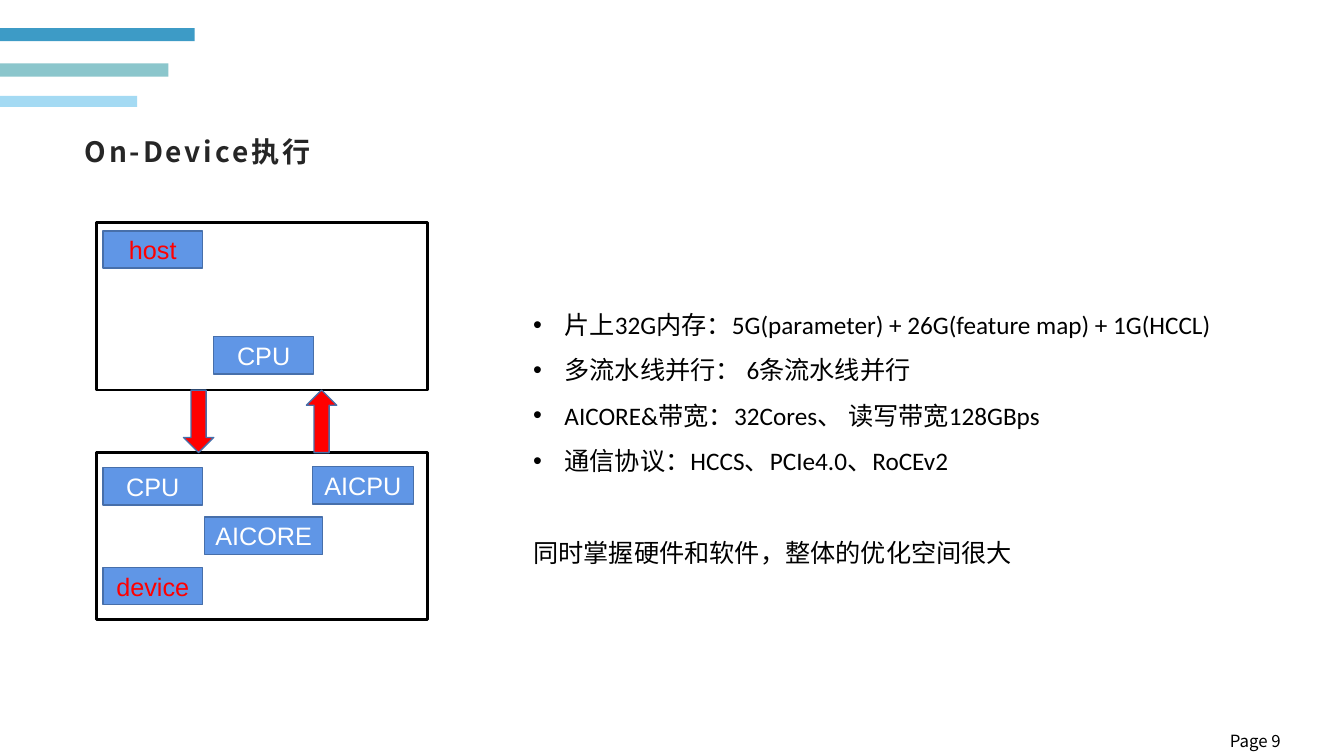
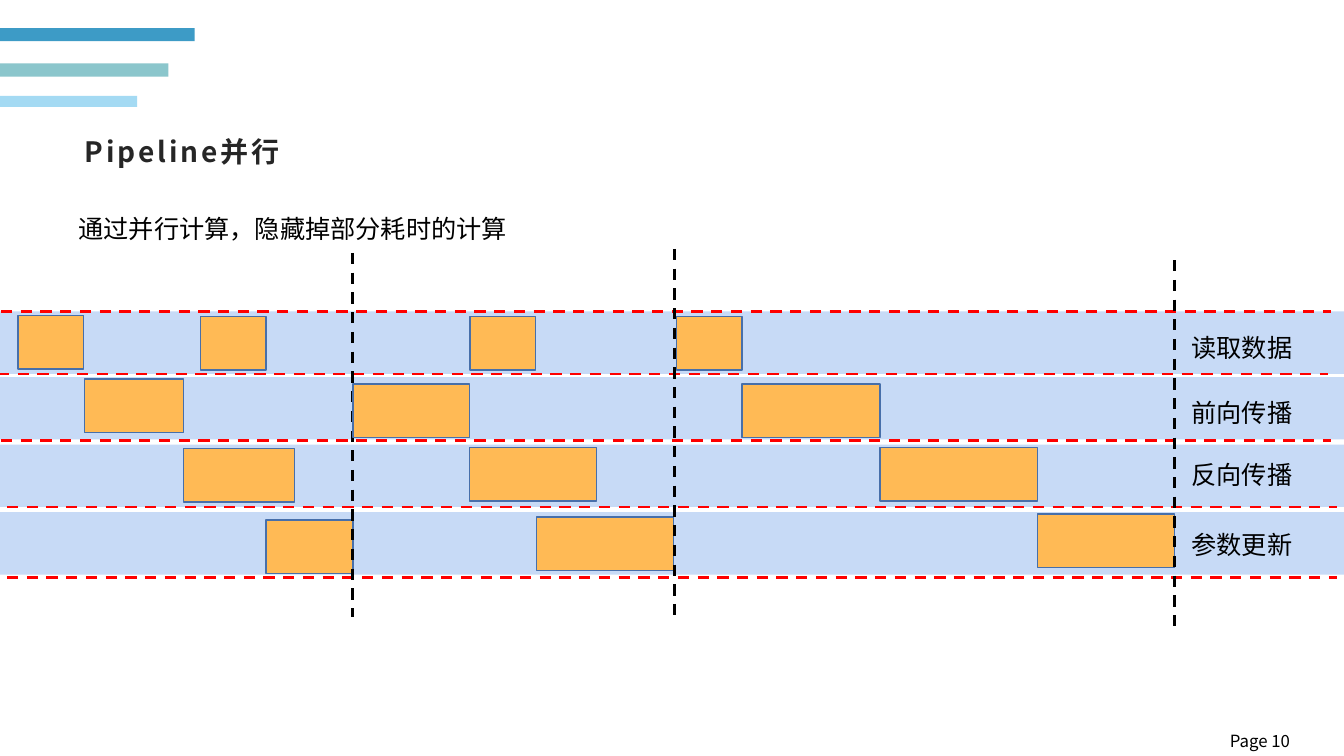
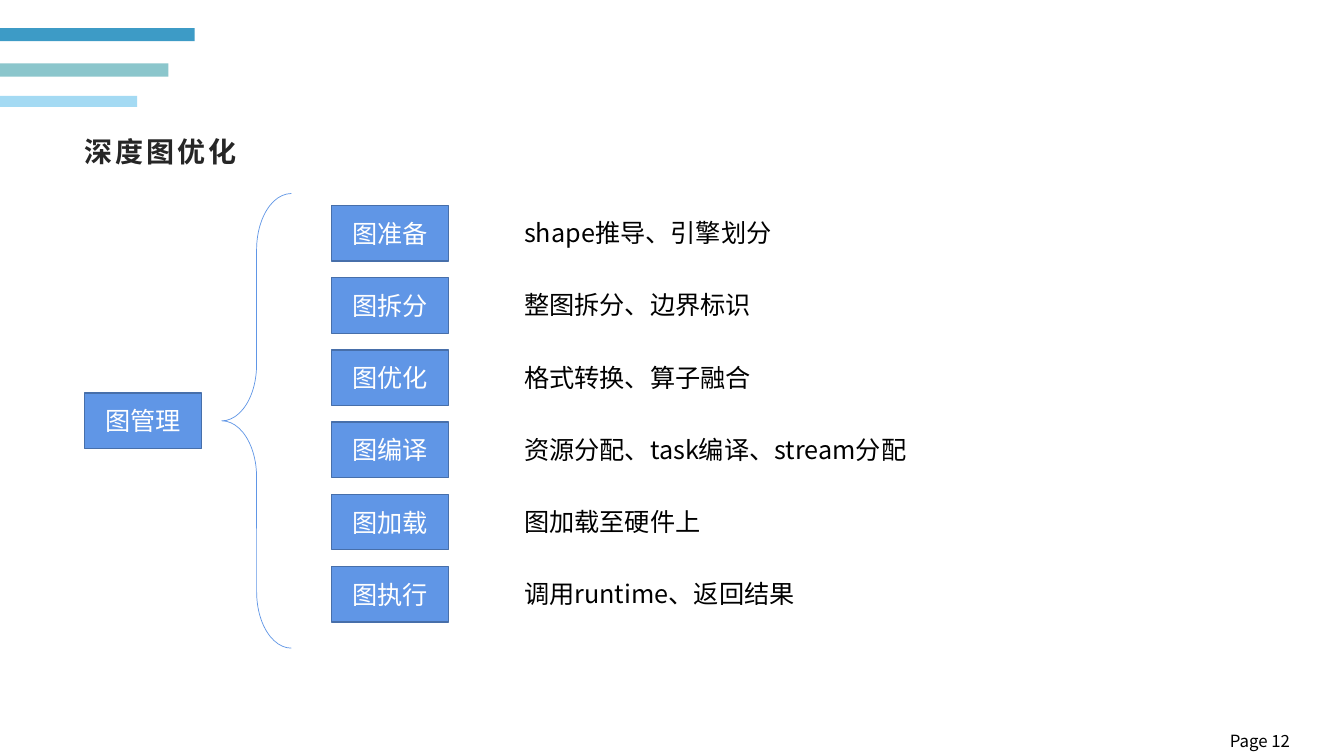
from lxml.etree import SubElement
from pptx import Presentation
from pptx.dml.color import RGBColor
from pptx.enum.dml import MSO_LINE_DASH_STYLE as Dash
from pptx.enum.shapes import MSO_CONNECTOR as Connector, MSO_SHAPE as Shape
from pptx.enum.text import MSO_ANCHOR as Anchor, MSO_AUTO_SIZE as AutoSize, PP_ALIGN as Align
from pptx.oxml.ns import qn
from pptx.util import Inches, Pt

BLACK, WHITE, RED = "000000", "FFFFFF", "FF0000"
BLUE, OUTLINE, ORANGE = "6096E6", "476FAA", "FFBA55"
CJK = "Noto Sans CJK SC"
color = RGBColor.from_string


def write(shape, text, size=18, ink=BLACK, font=CJK, bold=False, spacing=0):
    frame = shape.text_frame
    frame.word_wrap = True
    frame.text = text
    for paragraph in frame.paragraphs:
        for run in paragraph.runs:
            run.font.size = Pt(size)
            run.font.bold = bold
            run.font.color.rgb = color(ink)
            run.font.name = font
            properties = run.font._element
            SubElement(properties, qn("a:ea")).set("typeface", CJK)
            if spacing:
                properties.set("spc", str(spacing * 100))
    return frame


def add_box(slide, bounds, fill=None, line=None, weight=1, opacity=100,
            label="", ink=WHITE, kind=Shape.RECTANGLE):
    shape = slide.shapes.add_shape(kind, *map(Inches, bounds))
    shape.shadow.inherit = False
    if fill:
        shape.fill.solid()
        shape.fill.fore_color.rgb = color(fill)
        if opacity < 100:
            tint = shape.fill._xPr.find(qn("a:solidFill"))[0]
            SubElement(tint, qn("a:alpha")).set("val", str(opacity * 1000))
    else:
        shape.fill.background()
    if line:
        shape.line.color.rgb = color(line)
        shape.line.width = Pt(weight)
    else:
        shape.line.fill.background()
    if label:
        frame = write(shape, label, ink=ink, font="Arial")
        frame.vertical_anchor = Anchor.MIDDLE
        frame.paragraphs[0].alignment = Align.CENTER
    return shape


presentation = Presentation()
presentation.slide_width = Inches(13.33)
presentation.slide_height = Inches(7.5)

slides = []
for title_text, page in [("On-Device执行", 9), ("Pipeline并行", 10), ("深度图优化", 12)]:
    slide = presentation.slides.add_slide(presentation.slide_layouts[5])
    slides.append(slide)
    title = slide.shapes.title
    title.left, title.top, title.width, title.height = map(Inches, (0.74, 0.68, 3.62, 1.53))
    frame = write(title, title_text, size=20, ink="262626", bold=True, spacing=2)
    frame.auto_size = AutoSize.NONE
    frame.vertical_anchor = Anchor.MIDDLE
    frame.margin_bottom = 0
    frame.paragraphs[0].alignment = Align.LEFT
    frame.paragraphs[0].line_spacing = 1.2
    for top, width, height, fill, opacity in [
        (0.28, 1.93, 0.13, "007CB5", 76),
        (0.63, 1.67, 0.13, "8BC6CC", 100),
        (0.95, 1.36, 0.11, "7ECBEF", 70),
    ]:
        add_box(slide, (0, top, width, height), fill, opacity=opacity)
    footer = slide.shapes.add_textbox(Inches(12.1), Inches(7.2), Inches(1.16), Inches(0.3))
    write(footer, f"Page {page}", size=12)

device_slide, pipeline_slide, graph_slide = slides

for top in (2.21, 4.49):
    add_box(device_slide, (0.96, top, 3.28, 1.66), line=BLACK, weight=2)
for label, left, top, width, ink in [
    ("host", 1.02, 2.29, 0.99, RED),
    ("device", 1.02, 5.63, 0.99, RED),
    ("CPU", 1.02, 4.64, 0.99, WHITE),
    ("CPU", 2.12, 3.34, 0.99, WHITE),
    ("AICORE", 2.03, 5.13, 1.17, WHITE),
    ("AICPU", 3.1, 4.63, 1, WHITE),
]:
    add_box(device_slide, (left, top, width, 0.37), BLUE, OUTLINE, label=label, ink=ink)
for left, kind in [(1.82, Shape.DOWN_ARROW), (3.04, Shape.UP_ARROW)]:
    add_box(device_slide, (left, 3.87, 0.3, 0.62), RED, OUTLINE, kind=kind)

features = [
    "片上32G内存：5G(parameter) + 26G(feature map) + 1G(HCCL)",
    "多流水线并行： 6条流水线并行",
    "AICORE&带宽：32Cores、 读写带宽128GBps",
    "通信协议：HCCS、PCIe4.0、RoCEv2",
]
conclusion = "同时掌握硬件和软件，整体的优化空间很大"
feature_box = device_slide.shapes.add_textbox(Inches(5.19), Inches(2.87), Inches(7.25), Inches(2.83))
frame = write(feature_box, "\n".join(features + [conclusion]), font="Calibri")
for paragraph in frame.paragraphs[:-1]:
    properties = paragraph._p.get_or_add_pPr()
    properties.set("marL", str(Inches(0.31)))
    properties.set("indent", str(-Inches(0.31)))
    SubElement(properties, qn("a:buFont")).set("typeface", "Arial")
    SubElement(properties, qn("a:buChar")).set("char", "•")
    paragraph.line_spacing = 1.5
frame.paragraphs[-1].space_before = Pt(44)

summary = pipeline_slide.shapes.add_textbox(Inches(0.68), Inches(2.07), Inches(6.68), Inches(0.4))
write(summary, "通过并行计算，隐藏掉部分耗时的计算", font="Calibri")

for stage, band_top, label_top in [
    ("读取数据", 3.09, 3.25),
    ("前向传播", 3.74, 3.89),
    ("反向传播", 4.41, 4.51),
    ("参数更新", 5.08, 5.2),
]:
    add_box(pipeline_slide, (0, band_top, 13.33, 0.62), BLUE, opacity=35)
    stage_label = pipeline_slide.shapes.add_textbox(
        Inches(11.72), Inches(label_top), Inches(1.5), Inches(0.4))
    write(stage_label, stage, font="Arial")

separators = [
    (left, top, left + 13.19, top)
    for left, top in [(0.01, 3.09), (-0.02, 3.71), (0.01, 4.37), (0.07, 5.03), (0.07, 5.73)]
]
steps = [
    ([(0.18, 3.13, 0.65), (0.84, 3.76, 0.98), (1.82, 4.45, 1.1), (2.64, 5.16, 0.86),
      (1.99, 3.14, 0.65)], (3.5, 2.51, 3.5, 6.12)),
    ([(3.5, 3.81, 1.16), (4.66, 3.14, 0.65), (4.66, 4.44, 1.26), (5.32, 5.13, 1.36)],
     (6.69, 2.47, 6.69, 6.12)),
    ([(6.71, 3.14, 0.65), (7.36, 3.81, 1.37), (8.73, 4.44, 1.56), (10.29, 5.1, 1.36)],
     (11.65, 2.58, 11.65, 6.23)),
]
dashed_lines = [([], ends, RED) for ends in separators]
dashed_lines += [(tasks, ends, BLACK) for tasks, ends in steps]
for tasks, ends, ink in dashed_lines:
    for left, top, width in tasks:
        add_box(pipeline_slide, (left, top, width, 0.53), ORANGE, OUTLINE)
    connector = pipeline_slide.shapes.add_connector(Connector.STRAIGHT, *map(Inches, ends))
    connector.line.color.rgb = color(ink)
    connector.line.width = Pt(2)
    connector.line.dash_style = Dash.DASH
    SubElement(connector._element.spPr, qn("a:effectLst"))

add_box(graph_slide, (0.84, 3.9, 1.16, 0.55), BLUE, OUTLINE, label="图管理")
brace = add_box(graph_slide, (2.2, 1.92, 0.69, 4.51), line=BLUE, weight=0.5, kind=Shape.LEFT_BRACE)
brace.adjustments[0] = 0.81
brace.adjustments[1] = 0.5

phases = [
    ("图准备", "shape推导、引擎划分"),
    ("图拆分", "整图拆分、边界标识"),
    ("图优化", "格式转换、算子融合"),
    ("图编译", "资源分配、task编译、stream分配"),
    ("图加载", "图加载至硬件上"),
    ("图执行", "调用runtime、返回结果"),
]
pitch = (5.62 - 2.04) / (len(phases) - 1)
for row, (phase, detail) in enumerate(phases):
    top = 2.04 + row * pitch
    add_box(graph_slide, (3.29, top, 1.16, 0.55), BLUE, OUTLINE, label=phase)
    detail_box = graph_slide.shapes.add_textbox(
        Inches(5.1), Inches(top + 0.07), Inches(5.18), Inches(0.4))
    write(detail_box, detail)

presentation.save("out.pptx")
